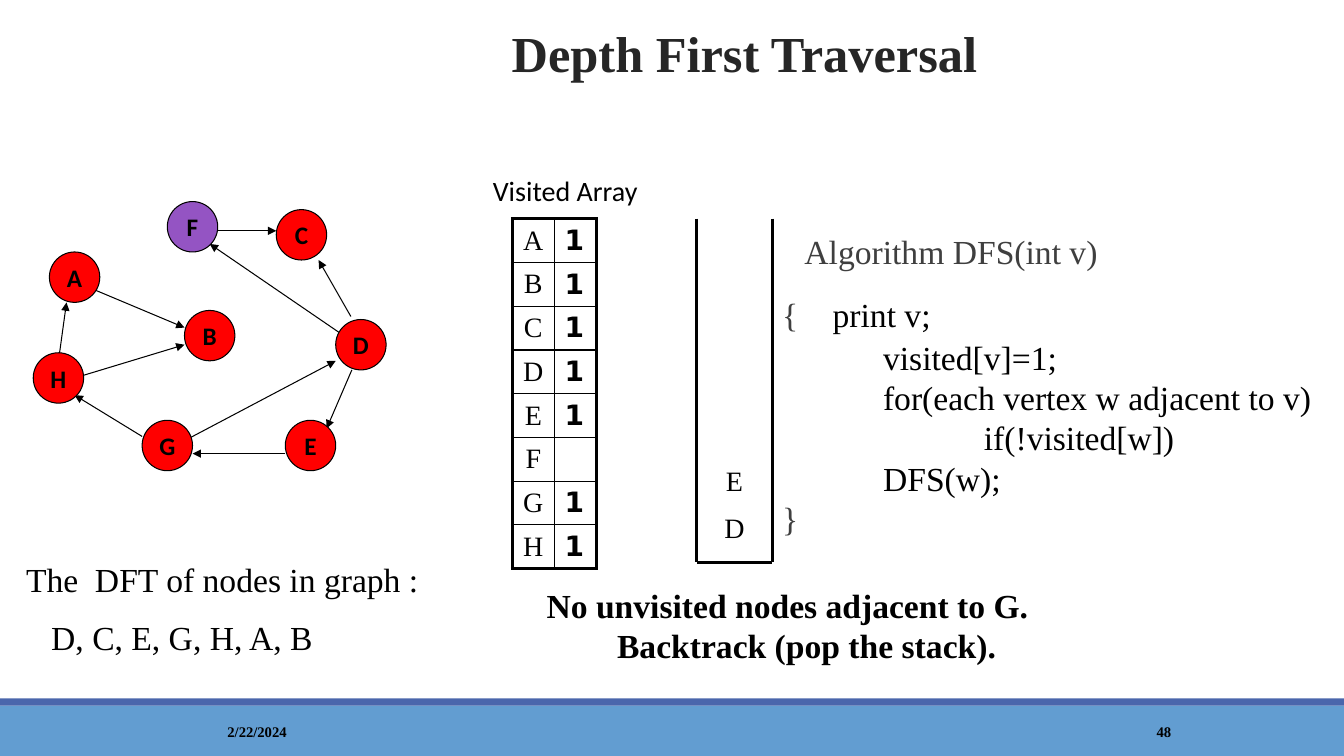
from lxml import etree
from pptx import Presentation
from pptx.dml.color import RGBColor
from pptx.enum.shapes import MSO_CONNECTOR, MSO_SHAPE
from pptx.enum.text import MSO_ANCHOR, PP_ALIGN
from pptx.oxml.ns import qn
from pptx.util import Inches, Pt

LINE = MSO_CONNECTOR.STRAIGHT
RECT, OVAL = MSO_SHAPE.RECTANGLE, MSO_SHAPE.OVAL
TOP, MIDDLE, BOTTOM = MSO_ANCHOR.TOP, MSO_ANCHOR.MIDDLE, MSO_ANCHOR.BOTTOM
LEFT, CENTER = PP_ALIGN.LEFT, PP_ALIGN.CENTER

BLACK = RGBColor(0x00, 0x00, 0x00)
DARK = RGBColor(0x26, 0x26, 0x26)
GRAY = RGBColor(0x3F, 0x3F, 0x3F)
RED = RGBColor(0xFF, 0x00, 0x00)
PURPLE = RGBColor(0x94, 0x54, 0xC3)
BLUE = RGBColor(0x62, 0x9D, 0xD1)
NAVY = RGBColor(0x4A, 0x66, 0xAC)
SERIF, SANS, MONO = "Times New Roman", "Calibri", "DejaVu Sans"

# Graph: node corners and arrow ends, relative to the graph's box
SIZE = 0.5
NODES = {"A": (0.16, 0.5), "H": (0, 1.5), "B": (1.5, 1.08), "F": (1.33, 0),
         "E": (2.5, 2.17), "D": (3, 1.17), "C": (2.41, 0.08), "G": (1.08, 2.17)}
EDGES = [
    (3.08, 1.33, 1.75, 0.42),  # D to F
    (3.16, 1.67, 2.91, 2.25),  # D to E
    (0.41, 1.75, 1.5, 1.42),   # H to B
    (1.41, 2.42, 3, 1.58),     # G to D
    (0.25, 1.58, 0.33, 1),     # H to A
    (0.5, 0.83, 1.5, 1.25),    # A to B
    (3.15, 1.14, 2.83, 0.58),  # D to C
    (2.5, 2.5, 1.58, 2.5),     # E to G
    (1.08, 2.33, 0.41, 1.92),  # G to H
    (1.83, 0.29, 2.41, 0.29),  # F to C
]
VISITED = {name: "" if name == "F" else "1" for name in "ABCDEFGH"}

# Algorithm lines: left indent, space before, colour, text
CODE = [(0.22, 0, GRAY, "Algorithm DFS(int v)"),
        (0, 16, GRAY, "{\tprint v;"),
        (1, 2, BLACK, "visited[v]=1;"),
        (1, 0, BLACK, "for(each vertex w adjacent to v)"),
        (2, 0, BLACK, "if(!visited[w])"),
        (1, 0, BLACK, "DFS(w);"),
        (0, 0, GRAY, "}")]


def style(font, size, name=SERIF, color=BLACK, bold=False):
    for key, val in {"size": Pt(size), "name": name, "bold": bold}.items():
        setattr(font, key, val)
    font.color.rgb = color


def set_frame(frame, anchor=TOP, wrap=True, side=0.1):
    look = {"word_wrap": wrap, "vertical_anchor": anchor,
            "margin_left": Inches(side), "margin_right": Inches(side),
            "margin_top": Inches(0.05), "margin_bottom": Inches(0.05)}
    for key, val in look.items():
        setattr(frame, key, val)


def indent(para, left, first=0):
    props = para._p.get_or_add_pPr()
    props.set("marL", str(Inches(left)))
    props.set("indent", str(Inches(first)))


def add_text(slide, box, lines, size, align=LEFT, anchor=TOP, gap=0, **look):
    shape = slide.shapes.add_textbox(*map(Inches, box))
    frame = shape.text_frame
    set_frame(frame, anchor)
    for i, text in enumerate(lines):
        para = frame.add_paragraph() if i else frame.paragraphs[0]
        para.text, para.alignment = text, align
        if i and gap:
            para.space_before = Pt(gap)
        style(para.font, size, **look)
    return frame.paragraphs


def add_shape(slide, kind, box, fill):
    shape = slide.shapes.add_shape(kind, *map(Inches, box))
    shape.shadow.inherit = False
    shape.fill.solid()
    shape.fill.fore_color.rgb = fill
    shape.line.fill.background()
    return shape


def add_line(slide, ends, width, arrow=False):
    line = slide.shapes.add_connector(LINE, *map(Inches, ends))
    line.line.color.rgb = BLACK
    line.line.width = Pt(width)
    props = line._element.spPr
    if arrow:
        etree.SubElement(props.find(qn("a:ln")), qn("a:tailEnd"), type="triangle")
    etree.SubElement(props, qn("a:effectLst"))


def add_title(slide, box):
    title = slide.shapes.title
    for key, val in zip(("left", "top", "width", "height"), box):
        setattr(title, key, Inches(val))
    set_frame(title.text_frame)
    para = title.text_frame.paragraphs[0]
    para.text, para.alignment, para.line_spacing = "Depth First Traversal", CENTER, 0.85
    style(para.font, 36, color=DARK, bold=True)


def add_footer(slide, box):
    x, y, w, h = box
    add_shape(slide, RECT, (x, y + 0.07, w, h - 0.07), BLUE)
    add_shape(slide, RECT, (x, y, w, 0.07), NAVY)
    for left, wide, text in ((1.2, 2.7, "2/22/2024"), (10.83, 1.43, "48")):
        add_text(slide, (x + left, y + 0.13, wide, 0.4), [text], 10.5,
                 CENTER, MIDDLE, bold=True)


def add_graph(slide, box):
    x, y = box
    for x1, y1, x2, y2 in EDGES:
        add_line(slide, (x + x1, y + y1, x + x2, y + y2), 0.75, True)
    for name, (left, top) in NODES.items():
        fill = PURPLE if name == "F" else RED
        node = add_shape(slide, OVAL, (x + left, y + top, SIZE, SIZE), fill)
        node.line.color.rgb = BLACK
        node.line.width = Pt(0.75)
        set_frame(node.text_frame, MIDDLE, False)
        para = node.text_frame.paragraphs[0]
        para.text, para.alignment = name, CENTER
        style(para.font, 18, SANS, bold=True)


def add_border(cell, side, width):
    props = cell._tc.get_or_add_tcPr()
    line = etree.SubElement(props, qn("a:ln" + side), w=str(Pt(width)))
    fill = etree.SubElement(line, qn("a:solidFill"))
    etree.SubElement(fill, qn("a:srgbClr"), val=str(BLACK))


def add_array(slide, box):
    x, y, w, h = box
    add_text(slide, (x - 0.29, y - 0.5, 1.83, 0.43), ["Visited Array"], 20, name=SANS)
    count = len(VISITED)
    table = slide.shapes.add_table(count, 2, *map(Inches, box)).table
    table.first_row = table.horz_banding = False
    for row, pair in enumerate(VISITED.items()):
        table.rows[row].height = Inches(h / count)
        for col, text in enumerate(pair):
            table.columns[col].width = Inches(w / 2)
            cell = table.cell(row, col)
            outer = {"L": col == 0, "R": col == 1, "T": row == 0, "B": row == count - 1}
            for side, edge in outer.items():
                add_border(cell, side, 2.25 if edge else 1)
            cell.fill.background()
            cell.vertical_anchor = MIDDLE
            para = cell.text_frame.paragraphs[0]
            para.text, para.alignment = text, LEFT if col else CENTER
            style(para.font, 20, MONO if col else SERIF, bold=col == 1)


def add_stack(slide, box):
    x, y, w, h = box
    for ends in ((x, y, x, y + h), (x + w, y, x + w, y + h), (x, y + h, x + w, y + h)):
        add_line(slide, ends, 2.25)
    add_text(slide, (x, y, w, h - 0.13), ["E", "D"], 20, CENTER, BOTTOM, gap=10)


def add_code(slide, box):
    paras = add_text(slide, box, [line[3] for line in CODE], 24)
    for para, (left, space, color, text) in zip(paras, CODE):
        indent(para, left)
        if space:
            para.space_before = Pt(space)
        para.font.color.rgb = color
        if "\t" in text:
            tabs = etree.Element(qn("a:tabLst"))
            etree.SubElement(tabs, qn("a:tab"), pos=str(Inches(1.07)), algn="l")
            para._p.pPr.find(qn("a:defRPr")).addprevious(tabs)
            para.runs[-1].text = "{\t"
            run = para.add_run()
            run.text = text.split("\t")[1]
            run.font.color.rgb = BLACK


def add_notes(slide, order, step):
    paras = add_text(slide, order, ["The  DFT of nodes in graph :", "D, C, E, G, H, A, B"],
                     24, gap=12)
    indent(paras[1], 0.25)
    paras = add_text(slide, step,
                     ["No unvisited nodes adjacent to G. Backtrack (pop the stack)."],
                     24, CENTER, bold=True)
    indent(paras[0], 0.38, -0.38)


def main():
    deck = Presentation()
    deck.slide_width, deck.slide_height = Inches(13.33), Inches(7.5)
    slide = deck.slides.add_slide(deck.slide_layouts[5])
    add_footer(slide, (0, 6.93, 13.33, 0.57))
    add_title(slide, (1.72, 0.26, 11.33, 0.74))
    add_graph(slide, (0.33, 2))
    add_array(slide, (5.08, 2.17, 0.84, 3.38))
    add_stack(slide, (6.91, 2.17, 0.75, 3.41))
    add_code(slide, (7.66, 2.24, 5.61, 3.18))
    add_notes(slide, (0.16, 5.5, 4.5, 1.11), (4.83, 5.75, 5.96, 0.91))
    deck.save("out.pptx")


if __name__ == "__main__":
    main()
